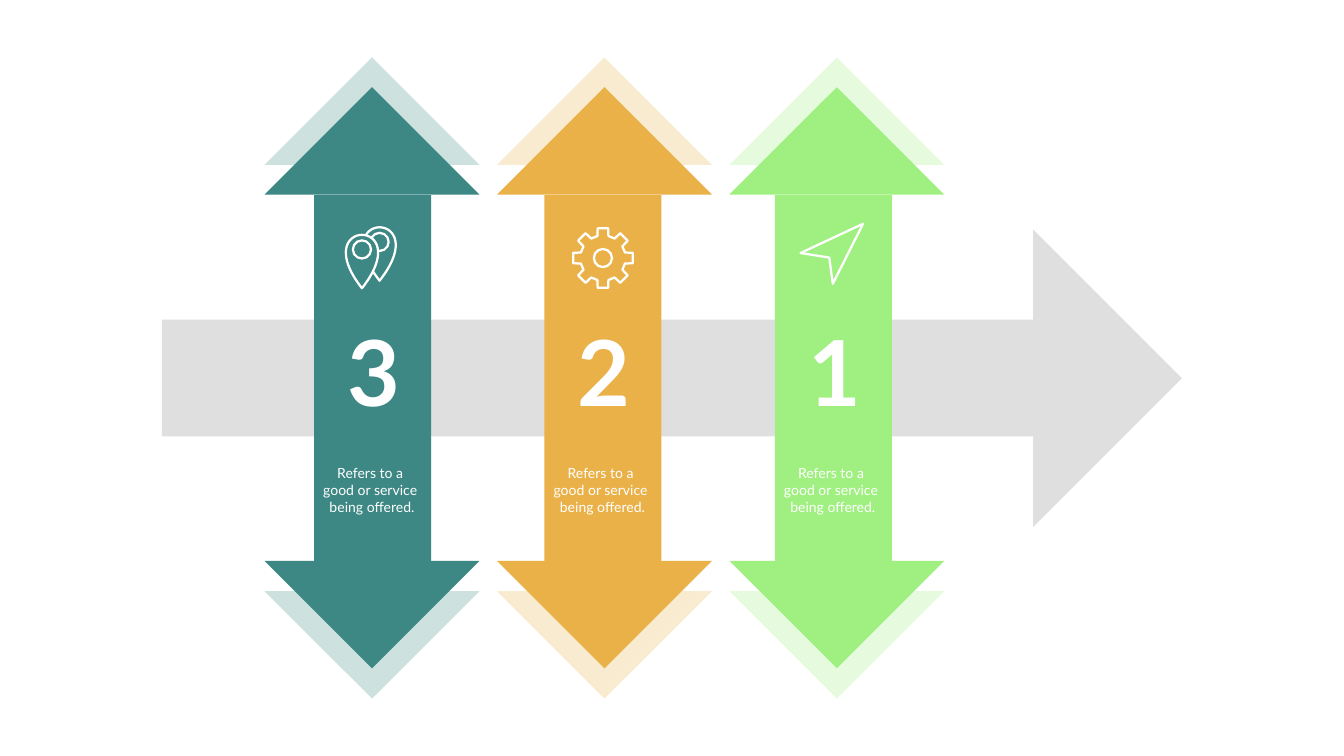
from math import cos, pi, radians, sin

from pptx import Presentation
from pptx.dml.color import RGBColor
from pptx.enum.shapes import MSO_SHAPE
from pptx.enum.text import MSO_AUTO_SIZE, PP_ALIGN
from pptx.oxml.ns import qn
from pptx.util import Pt
from lxml import etree

RECT = MSO_SHAPE.RECTANGLE
TRI = MSO_SHAPE.ISOSCELES_TRIANGLE
OVAL = MSO_SHAPE.OVAL
LEFT, CENTER = PP_ALIGN.LEFT, PP_ALIGN.CENTER
FIT = MSO_AUTO_SIZE.SHAPE_TO_FIT_TEXT
WHITE, GRAY = "FFFFFF", "808080"
LINES = ["Refers to a ", "good or service ", "being offered."]


def px(n):
    """Turn px, a hundred to the inch, into EMU."""
    return round(n * 9144)


def color(text):
    """Make a colour from a hex string."""
    return RGBColor.from_string(text)


def block(slide, kind, left, top, wide, high, hue, clear=False, turn=0):
    """Add a plain filled shape, at quarter strength when clear."""
    shape = slide.shapes.add_shape(kind, px(left), px(top), px(wide), px(high))
    shape.rotation = turn
    shape.shadow.inherit = False
    shape.line.fill.background()
    shape.fill.solid()
    shape.fill.fore_color.rgb = color(hue)
    if clear:
        tone = shape.element.spPr.find(".//" + qn("a:srgbClr"))
        etree.SubElement(tone, qn("a:alpha")).set("val", "25000")
    return shape


def stroke(shape):
    """Give a shape the white line of the icons."""
    shape.line.color.rgb = color(WHITE)
    shape.line.width = Pt(3.2)


def outline(slide, points, hue):
    """Add a closed icon outline through the points."""
    spots = [(px(x), px(y)) for x, y in points]
    build = slide.shapes.build_freeform(*spots[0])
    build.add_line_segments(spots[1:])
    shape = build.convert_to_shape()
    shape.shadow.inherit = False
    shape.fill.solid()
    shape.fill.fore_color.rgb = color(hue)
    stroke(shape)


def ring(slide, x, y, size, hue):
    """Add a ring around a centre."""
    shape = block(slide, OVAL, x - size, y - size, 2 * size, 2 * size, hue)
    stroke(shape)


def pins(slide, left, top, hue):
    """Draw two map pins, the front one over the back one."""
    for x, y in [(left + 130, top + 11), (left + 95, top + 26)]:
        turns = [2 * pi * n / 48 for n in range(48)]
        drop = [(x + 41.6 * sin(t) * abs(cos(t / 2)), y + 53 * (1 - cos(t)))
                for t in turns]
        outline(slide, drop, hue)
        ring(slide, x, y + 29, 18, hue)


def gear(slide, left, top, hue):
    """Draw a gear with eight teeth."""
    x, y = left + 116, top + 72
    teeth = [(x + size * cos(radians(45 * n + turn)),
              y + size * sin(radians(45 * n + turn)))
             for n in range(8)
             for size, turn in [(45, -14), (60, -10), (60, 10), (45, 14)]]
    outline(slide, teeth, hue)
    ring(slide, x, y, 18, hue)


def plane(slide, left, top, hue):
    """Draw a paper plane."""
    spots = [(175, 4), (51, 62), (108, 71), (115, 123)]
    outline(slide, [(left + x, top + y) for x, y in spots], hue)


def label(slide, left, top, wide, high, lines, size, bold, align):
    """Add white text, one paragraph a line."""
    box = slide.shapes.add_textbox(px(left), px(top), px(wide), px(high))
    frame = box.text_frame
    frame.word_wrap = True
    frame.auto_size = FIT
    frame.text = "\n".join(lines)
    for para in frame.paragraphs:
        para.alignment = align
        font = para.runs[0].font
        font.name, font.size, font.bold = "Lato", Pt(size), bold
        font.color.rgb = color(WHITE)


def flow(slide, left, top):
    """Draw the wide gray arrow behind the columns."""
    block(slide, RECT, left, top + 178, 1728, 232, GRAY, True)
    block(slide, TRI, left + 1581, top + 147, 590, 295, GRAY, True, 90)


def column(slide, left, top, stem, hue, icon, digit):
    """Draw one double arrow with its icon, digit and text."""
    block(slide, RECT, stem, top + 273, 232, 728, hue)
    for gap, turn, clear in [(0, 0, True), (59, 0, False),
                             (1059, 180, True), (999, 180, False)]:
        block(slide, TRI, left, top + gap, 426, 213, hue, clear, turn)
    icon(slide, stem, top + 326, hue)
    label(slide, stem + 56, top + 507, 145, 229, [digit], 130, True, LEFT)
    label(slide, stem - 17, top + 803, 264, 111, LINES, 20, False, CENTER)


def main():
    """Build the slide and save it."""
    deck = Presentation()
    deck.slide_width, deck.slide_height = px(2666), px(1500)
    slide = deck.slides.add_slide(deck.slide_layouts[6])
    back = slide.background.fill
    back.solid()
    back.fore_color.rgb = color("FEFFFE")
    flow(slide, 321, 456)
    parts = [("3D8884", pins, "3"), ("EAB149", gear, "2"),
             ("A0F081", plane, "1")]
    for n, part in enumerate(parts):
        column(slide, 525 + 461 * n, 114, 623 + 457 * n, *part)
    deck.save("out.pptx")


if __name__ == "__main__":
    main()
